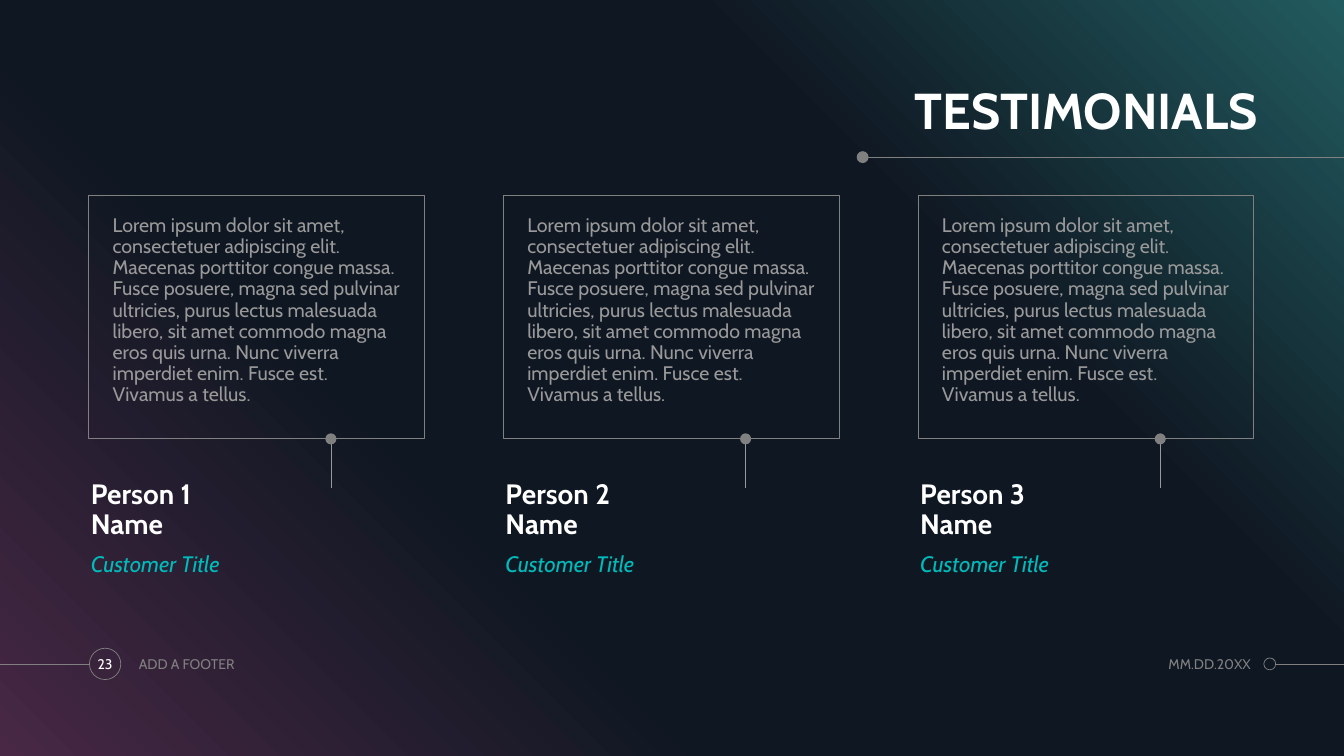
from lxml.etree import SubElement
from pptx import Presentation
from pptx.dml.color import RGBColor
from pptx.enum.shapes import MSO_CONNECTOR, MSO_SHAPE
from pptx.enum.text import MSO_ANCHOR, MSO_AUTO_SIZE, PP_ALIGN
from pptx.oxml.ns import qn
from pptx.util import Cm, Pt

TITLE = "TESTIMONIALS"
QUOTE = (
    "Lorem ipsum dolor sit amet, consectetuer adipiscing elit. "
    "Maecenas porttitor congue massa. Fusce posuere, magna sed pulvinar "
    "ultricies, purus lectus malesuada libero, sit amet commodo magna eros "
    "quis urna. Nunc viverra imperdiet enim. Fusce est. Vivamus a tellus."
)
TESTIMONIALS = [
    (QUOTE, ("Person 1", "Name"), "Customer Title"),
    (QUOTE, ("Person 2", "Name"), "Customer Title"),
    (QUOTE, ("Person 3", "Name"), "Customer Title"),
]
PAGE, FOOTER, DATE = "23", "ADD A FOOTER", "MM.DD.20XX"

FONT = "Cabin"
WHITE, TEAL, GREY, LIGHT_GREY = "FFFFFF", "00BBBB", "808080", "999999"
BACKGROUND_STOPS = [(0, "482845"), (34, "0F1722"), (69, "0F1722"), (100, "225B5F")]

# Lengths in centimetres
SLIDE_W, SLIDE_H = 33.87, 19.05
CARD_LEFT, CARD_TOP, CARD_W, CARD_H = 2.24, 4.93, 8.46, 6.13
CARD_PITCH = 10.45
PIN_OFFSET, PIN_LENGTH = 6.1, 1.23
NAME_OFFSET, NAME_W = 0.05, 4.52
RULE_LEFT, RULE_Y = 21.74, 3.96
FOOTER_Y, FOOTER_H = 16.73, 0.84
PAGE_X, PAGE_SIZE = 2.65, 0.79
DATE_DOT_X, DOT_SIZE = 32.0, 0.3


def rgb(color):
    return RGBColor.from_string(color)


def paint_background(slide):
    fill = slide.background.fill
    fill.gradient()
    fill.gradient_angle = 45
    stops = slide.element.find(".//" + qn("a:gsLst"))
    for stop in list(stops):
        stops.remove(stop)
    for percent, color in BACKGROUND_STOPS:
        stop = SubElement(stops, qn("a:gs"), pos=str(percent * 1000))
        SubElement(stop, qn("a:srgbClr"), val=color)


def write(shape, lines, size, color, bold=False, italic=False,
          align=PP_ALIGN.LEFT, anchor=MSO_ANCHOR.TOP, spacing=1.0, inset=(0, 0)):
    """Fill the shape with one paragraph whose lines are split by line breaks."""
    frame = shape.text_frame
    frame.word_wrap = True
    frame.auto_size = MSO_AUTO_SIZE.NONE
    frame.vertical_anchor = anchor
    frame.margin_left = frame.margin_right = Cm(inset[0])
    frame.margin_top = frame.margin_bottom = Cm(inset[1])
    paragraph = frame.paragraphs[0]
    paragraph.alignment = align
    paragraph.line_spacing = spacing
    for index, line in enumerate(lines):
        if index:
            paragraph.add_line_break()
        run = paragraph.add_run()
        run.text = line
        font = run.font
        font.name, font.size = FONT, Pt(size)
        font.bold, font.italic = bold, italic
        font.color.rgb = rgb(color)


def add_text(slide, left, top, width, height, lines, size, color, **style):
    box = slide.shapes.add_textbox(Cm(left), Cm(top), Cm(width), Cm(height))
    write(box, lines, size, color, **style)


def add_line(slide, x1, y1, x2, y2, color=GREY):
    line = slide.shapes.add_connector(
        MSO_CONNECTOR.STRAIGHT, Cm(x1), Cm(y1), Cm(x2), Cm(y2))
    line.line.color.rgb = rgb(color)
    line.line.width = Pt(0.5)
    SubElement(line.element.spPr, qn("a:effectLst"))


def add_outline(slide, kind, left, top, width, height, weight):
    shape = slide.shapes.add_shape(kind, Cm(left), Cm(top), Cm(width), Cm(height))
    shape.shadow.inherit = False
    shape.fill.background()
    shape.line.color.rgb = rgb(GREY)
    shape.line.width = Pt(weight)
    return shape


def add_circle(slide, x, y, size, filled=False):
    """Draw a circle centred on x, y."""
    circle = add_outline(slide, MSO_SHAPE.OVAL, x - size / 2, y - size / 2,
                         size, size, 0.5)
    if filled:
        circle.fill.solid()
        circle.fill.fore_color.rgb = rgb(GREY)
        circle.line.fill.background()
    return circle


def add_heading(slide):
    title = slide.shapes.title
    title.left, title.top = Cm(14.17), Cm(1.96)
    title.width, title.height = Cm(17.53), Cm(1.57)
    write(title, [TITLE], 36, WHITE, bold=True, align=PP_ALIGN.RIGHT,
          anchor=MSO_ANCHOR.BOTTOM, spacing=0.9)
    add_line(slide, RULE_LEFT, RULE_Y, SLIDE_W, RULE_Y)
    add_circle(slide, RULE_LEFT, RULE_Y, DOT_SIZE, filled=True)


def add_testimonial(slide, left, quote, name, role):
    card = add_outline(slide, MSO_SHAPE.RECTANGLE, left, CARD_TOP, CARD_W, CARD_H, 0.75)
    write(card, [quote], 14, LIGHT_GREY, spacing=0.9, inset=(0.6, 0.5))
    pin_x, card_bottom = left + PIN_OFFSET, CARD_TOP + CARD_H
    add_line(slide, pin_x, card_bottom, pin_x, card_bottom + PIN_LENGTH, LIGHT_GREY)
    add_circle(slide, pin_x, card_bottom, 0.28, filled=True)
    name_left = left + NAME_OFFSET
    add_text(slide, name_left, 11.63, NAME_W, 2, name, 20, WHITE, bold=True,
             anchor=MSO_ANCHOR.BOTTOM, spacing=0.9)
    add_text(slide, name_left, 13.87, NAME_W, 0.91, [role], 16, TEAL, italic=True)


def add_footer(slide):
    add_line(slide, 0, FOOTER_Y, PAGE_X - PAGE_SIZE / 2, FOOTER_Y)
    page = add_circle(slide, PAGE_X, FOOTER_Y, PAGE_SIZE)
    write(page, [PAGE], 10, WHITE, align=PP_ALIGN.CENTER, anchor=MSO_ANCHOR.MIDDLE)
    add_line(slide, DATE_DOT_X + DOT_SIZE / 2, FOOTER_Y, SLIDE_W, FOOTER_Y)
    add_circle(slide, DATE_DOT_X, FOOTER_Y, DOT_SIZE)
    top = FOOTER_Y - FOOTER_H / 2
    add_text(slide, 3.5, top, 7.6, FOOTER_H, [FOOTER], 10, GREY,
             anchor=MSO_ANCHOR.MIDDLE)
    add_text(slide, 27.81, top, 3.71, FOOTER_H, [DATE], 10, GREY,
             align=PP_ALIGN.RIGHT, anchor=MSO_ANCHOR.MIDDLE)


def main():
    deck = Presentation()
    deck.slide_width, deck.slide_height = Cm(SLIDE_W), Cm(SLIDE_H)
    slide = deck.slides.add_slide(deck.slide_layouts[5])
    paint_background(slide)
    add_heading(slide)
    for column, testimonial in enumerate(TESTIMONIALS):
        add_testimonial(slide, CARD_LEFT + column * CARD_PITCH, *testimonial)
    add_footer(slide)
    deck.save("out.pptx")


if __name__ == "__main__":
    main()
